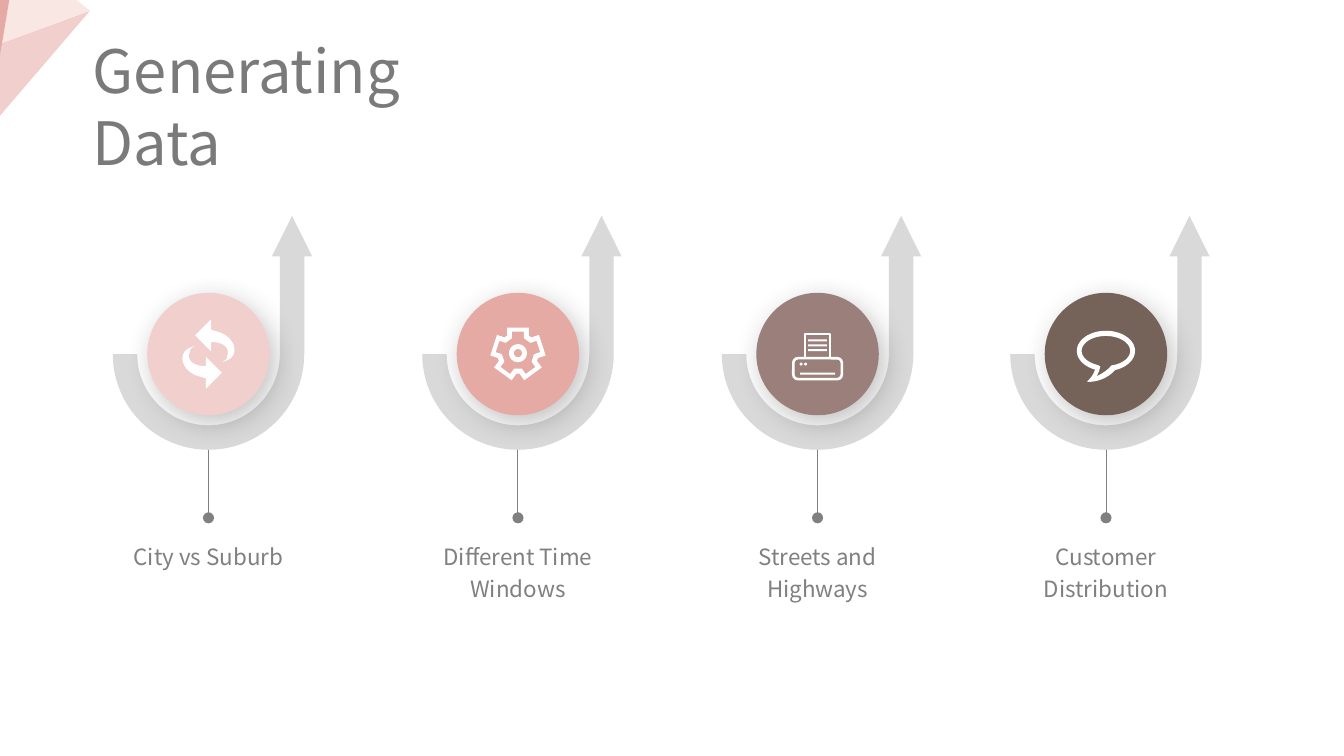
from dataclasses import dataclass
from math import cos, pi, radians, sin

from pptx import Presentation
from pptx import util as u
from pptx.dml.color import RGBColor
from pptx.enum import shapes, text
from pptx.oxml import ns, xmlchemy


@dataclass(frozen=True)
class Theme:
    font: str = "Noto Sans CJK SC"
    title_size: float = 32
    label_size: float = 12
    title: str = "7A7A7A"
    label: str = "808080"
    track: str = "D9D9D9"
    icon: str = "FFFFFF"
    shadow: str = "333333"
    blush: str = "F1CFCD"
    cream: str = "F9E7E3"
    rose: str = "E5AAA4"
    mauve: str = "9B7F7B"
    brown: str = "756359"


THEME = Theme()


def sub(parent, tag, **attributes):
    child = xmlchemy.OxmlElement(tag)
    for key, value in attributes.items():
        child.set(key, str(value))
    parent.append(child)
    return child


def arc(cx, cy, rx, ry, start, end, steps=48):
    """Points along an ellipse; degrees run clockwise from the right."""
    angles = [radians(start + (end - start) * i / steps) for i in range(steps + 1)]
    return [(cx + rx * cos(a), cy + ry * sin(a)) for a in angles]


def curve(p0, p1, p2, p3, steps=10):
    """Points along a cubic Bezier curve."""
    ts = [i / steps for i in range(steps + 1)]
    return [tuple((1 - t) ** 3 * a + 3 * (1 - t) ** 2 * t * b
                  + 3 * (1 - t) * t ** 2 * c + t ** 3 * d
                  for a, b, c, d in zip(p0, p1, p2, p3)) for t in ts]


def turn(points, angle):
    return [(x * cos(angle) - y * sin(angle), x * sin(angle) + y * cos(angle))
            for x, y in points]


class Deck:
    def __init__(self, theme, width, height):
        self.theme = theme
        self.prs = Presentation()
        self.prs.slide_width, self.prs.slide_height = u.Pt(width), u.Pt(height)
        self.slide = self.prs.slides.add_slide(self.prs.slide_layouts[5])

    def _paint(self, part, fill, line=None, weight=0):
        part.shadow.inherit = False
        if fill:
            part.fill.solid()
            part.fill.fore_color.rgb = RGBColor.from_string(fill)
        else:
            part.fill.background()
        if line:
            part.line.color.rgb = RGBColor.from_string(line)
            part.line.width = u.Pt(weight)
        else:
            part.line.fill.background()
        return part

    def _write(self, frame, words, size, color, align, spacing):
        frame.word_wrap = True
        frame.auto_size = text.MSO_AUTO_SIZE.NONE
        frame.vertical_anchor = text.MSO_ANCHOR.TOP
        paragraph = frame.paragraphs[0]
        paragraph.alignment, paragraph.line_spacing = align, spacing
        run = paragraph.add_run()
        run.text = words
        run.font.name, run.font.size = self.theme.font, u.Pt(size)
        run.font.color.rgb = RGBColor.from_string(color)

    def title(self, words, x, y, w, h):
        heading = self.slide.shapes.title
        heading.left, heading.top, heading.width, heading.height = map(u.Pt, (x, y, w, h))
        self._write(heading.text_frame, words, self.theme.title_size,
                    self.theme.title, text.PP_ALIGN.LEFT, 1.0)

    def label(self, words, x, y, w, h):
        frame = self.slide.shapes.add_textbox(*map(u.Pt, (x, y, w, h))).text_frame
        frame.margin_left = frame.margin_right = frame.margin_top = frame.margin_bottom = 0
        self._write(frame, words, self.theme.label_size,
                    self.theme.label, text.PP_ALIGN.CENTER, 1.2)

    def preset(self, kind, x, y, w, h, fill, line=None, weight=0):
        part = self.slide.shapes.add_shape(kind, *map(u.Pt, (x, y, w, h)))
        return self._paint(part, fill, line, weight)

    def disc(self, cx, cy, radius, fill):
        return self.preset(shapes.MSO_SHAPE.OVAL, cx - radius, cy - radius,
                           2 * radius, 2 * radius, fill)

    def raised_disc(self, cx, cy, radius, fill):
        effects = self.disc(cx, cy, radius, fill)._element.spPr.find(ns.qn("a:effectLst"))
        shadow = sub(effects, "a:outerShdw", blurRad=u.Pt(15), dist=u.Pt(5),
                     dir=55 * 60000, algn="tl", rotWithShape=0)
        sub(sub(shadow, "a:srgbClr", val=self.theme.shadow), "a:alpha", val=30000)

    def outline(self, contours, fill, cx=0, cy=0):
        """One filled outline; later contours cut holes in the first."""
        placed = [[(u.Pt(cx + x), u.Pt(cy + y)) for x, y in points] for points in contours]
        builder = self.slide.shapes.build_freeform(*placed[0][0])
        for i, points in enumerate(placed):
            if i:
                builder.move_to(*points[0])
            builder.add_line_segments(points[1:], close=True)
        return self._paint(builder.convert_to_shape(), fill)

    def stem(self, x, top, bottom):
        stem = self.slide.shapes.add_connector(
            shapes.MSO_CONNECTOR.STRAIGHT, *map(u.Pt, (x, top, x, bottom)))
        stem.line.color.rgb = RGBColor.from_string(self.theme.label)
        stem.line.width = u.Pt(0.5)
        sub(stem.line._get_or_add_ln(), "a:tailEnd", type="oval")
        sub(stem._element.spPr, "a:effectLst")

    def hook_arrow(self, cx, cy, outer=51.3, inner=38.2):
        shaft = (outer + inner) / 2
        head = [(shaft - 10.8, -52.3), (shaft, -74), (shaft + 10.8, -52.3)]
        self.outline([head + [(outer, -52.3)] + arc(0, 0, outer, outer, 0, 180)
                      + arc(0, 0, inner, inner, 180, 0) + [(inner, -52.3)]],
                     self.theme.track, cx, cy)

    # Icons, each drawn around the centre of its disc
    def refresh_icon(self, cx, cy):
        half = ([(1.4, -18.7), (-7.2, -10.1), (1.4, -1.4)]
                + curve((1.4, -6.5), (8.6, -6.5), (11.5, -2.9), (10.1, 0.7))
                + curve((10.1, 0.7), (10.1, 2.9), (8.6, 3.6), (7.2, 4.3))
                + curve((7.2, 4.3), (10.1, 3.6), (13, 2.2), (13.7, -0.7))
                + curve((13.7, -0.7), (15.1, -5), (10.8, -10.8), (4.3, -12.2))
                + [(1.4, -13)])
        for angle in (0, pi):
            self.outline([turn(half, angle)], self.theme.icon, cx, cy)

    def gear_icon(self, cx, cy):
        def cog(half, tip, root):
            tooth = [(-half, -root), (-half, -tip), (half, -tip), (half, -root)]
            return [p for i in range(5) for p in turn(tooth, 2 * pi * i / 5)]

        rings = [arc(0, 0, r, r, 0, 360) for r in (4.8, 2.2)]
        self.outline([cog(5.8, 13.7, 9.4), cog(3.2, 11.5, 8), *rings],
                     self.theme.icon, cx, cy - 0.5)

    def printer_icon(self, cx, cy):
        white, kinds = self.theme.icon, shapes.MSO_SHAPE
        self.preset(kinds.RECTANGLE, cx - 6.8, cy - 10.6, 13.6, 12.8, None, white, 1.1)
        body = self.preset(kinds.ROUNDED_RECTANGLE, cx - 13, cy + 2.2, 26, 11.2,
                           None, white, 1.4)
        body.adjustments[0] = 0.22
        for width, y in ((10.1, -7.9), (10.1, -5.2), (10.1, -2.6), (18.8, 9.9)):
            self.preset(kinds.RECTANGLE, cx - width / 2, cy + y, width, 1.1, white)
        for x in (-8.8, -6.4):
            self.disc(cx + x, cy + 5.4, 0.8, white)

    def speech_icon(self, cx, cy):
        outer = (arc(0, 0, 15.6, 10.8, 111, 431)
                 + curve((5, 10.2), (-0.5, 16.4), (-8, 16.6), (-9.4, 16.6))
                 + curve((-10.1, 16.3), (-9, 15.5), (-6.6, 13), (-5.8, 9.8)))
        inner = (arc(0, 0, 13, 8, 109, 437)
                 + curve((2.9, 7.8), (0.6, 10.8), (-2.9, 12.4), (-5, 13.7))
                 + [(-3.8, 11.2), (-3, 8.4)])
        self.outline([outer, inner], self.theme.icon, cx, cy - 1.7)


def main():
    deck = Deck(THEME, 720, 405)
    steps = [
        (111.7, "City vs Suburb", THEME.blush, deck.refresh_icon),
        (277.5, "Different Time Windows", THEME.rose, deck.gear_icon),
        (438, "Streets and Highways", THEME.mauve, deck.printer_icon),
        (592.5, "Customer Distribution", THEME.brown, deck.speech_icon),
    ]
    middle = 189.7

    # Corner facets and title
    deck.outline([[(48.2, 5.8), (1.2, 23), (0, 30), (0, 62)]], THEME.blush)
    deck.outline([[(48.2, 5.8), (41, 0), (5, 0), (1.2, 23)]], THEME.cream)
    deck.outline([[(5, 0), (0, 0), (0, 30)]], THEME.rose)
    deck.title("Generating Data", 42.5, 14.4, 220, 84)

    # Four steps: stem, hook arrow, caption, disc with icon
    for x, caption, color, draw_icon in steps:
        deck.stem(x, 239.8, 277.4)
        deck.hook_arrow(x, middle)
        deck.label(caption, x - 56.2, 288, 112.4, 34)
        deck.raised_disc(x, middle, 32.8, color)
        draw_icon(x, middle)

    deck.prs.save("out.pptx")


if __name__ == "__main__":
    main()
